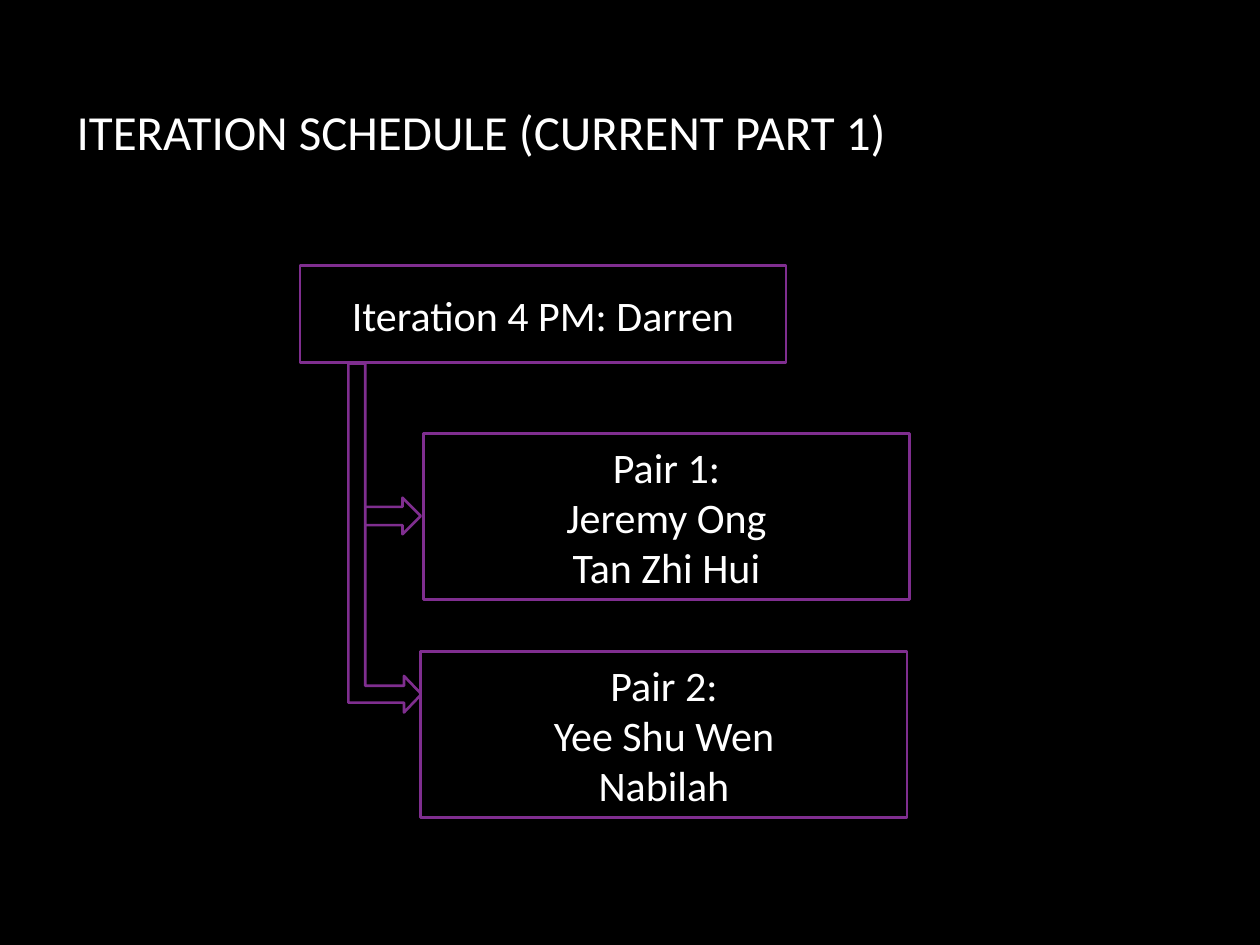
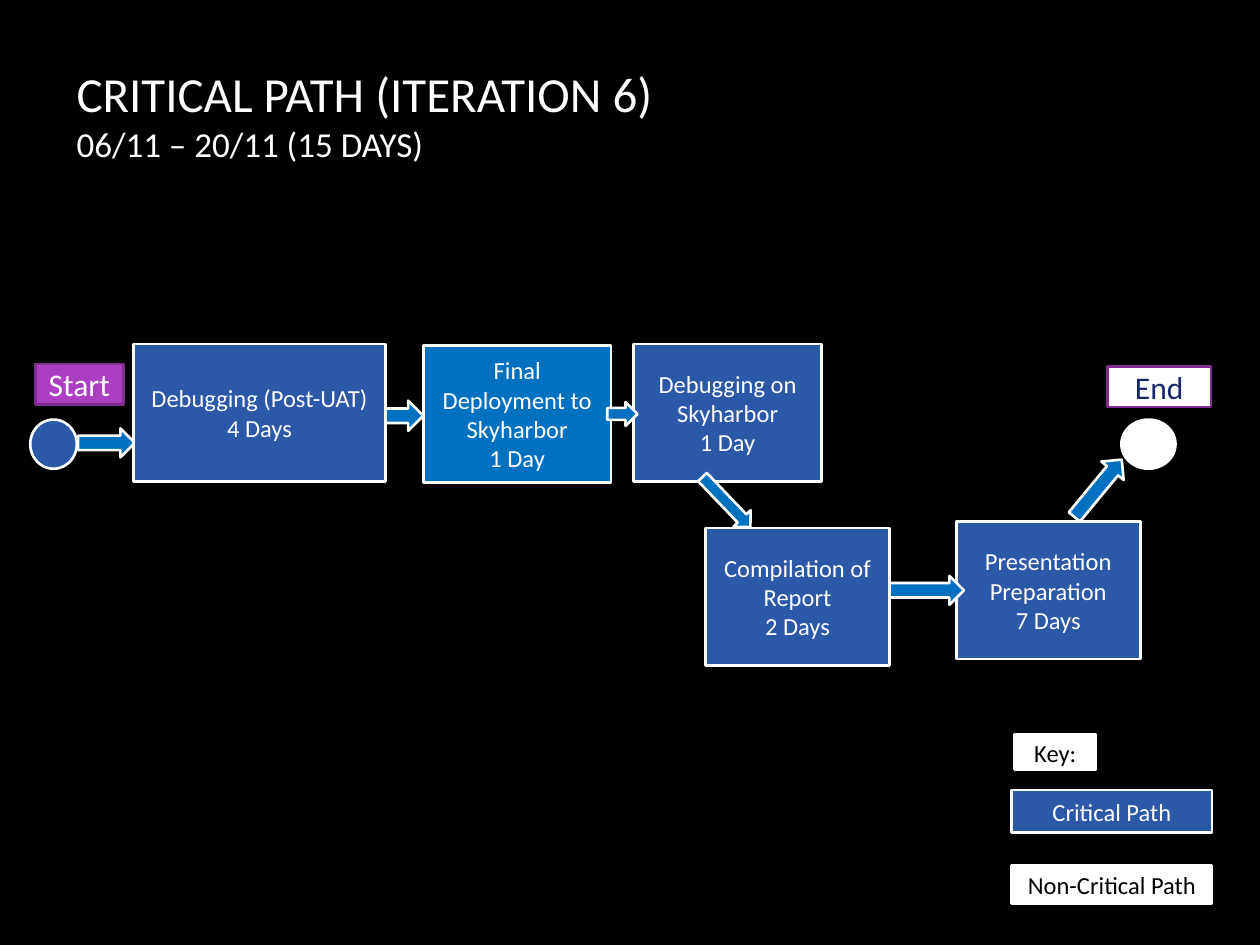
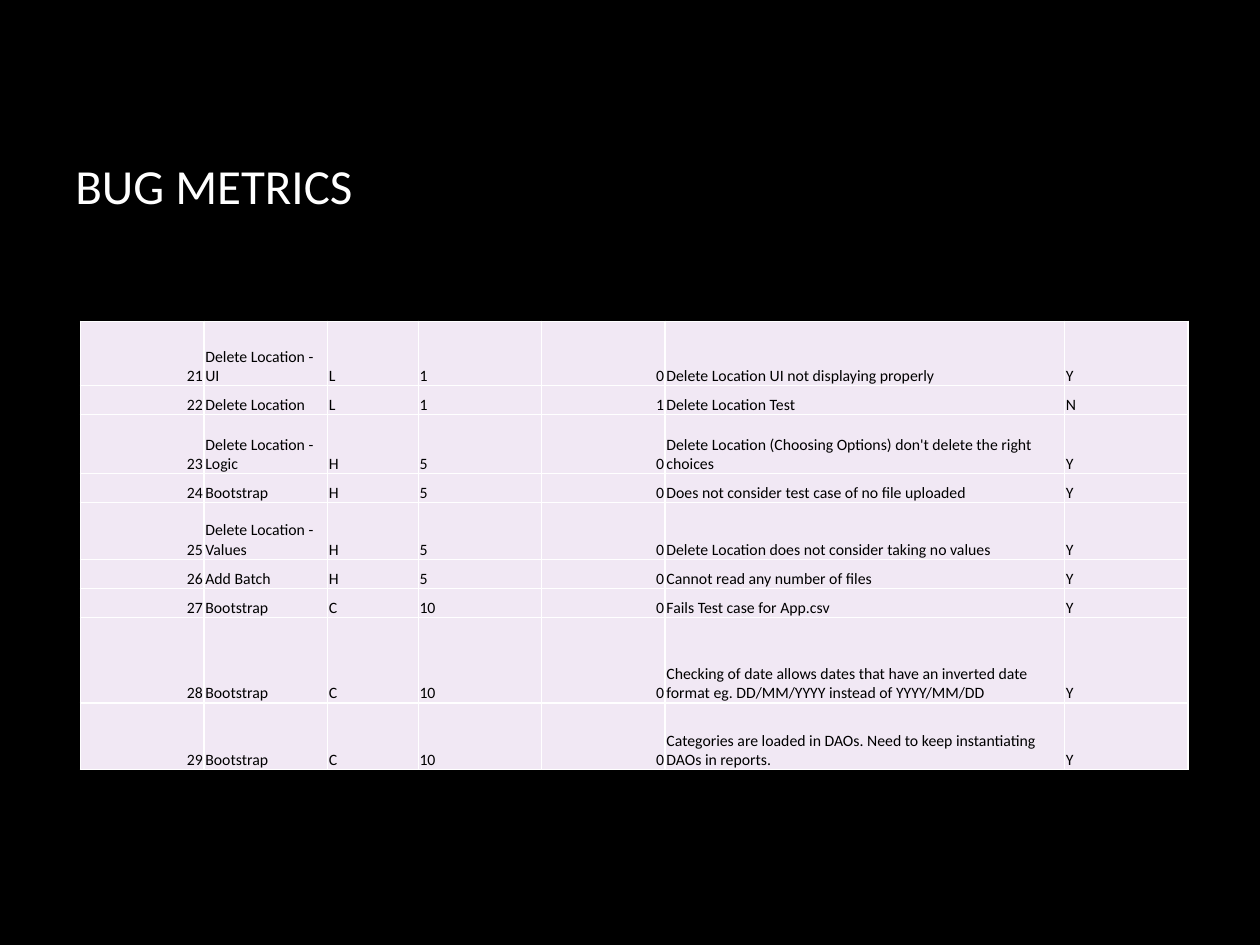
"""Builds three project review slides: a schedule, a critical path and bug metrics."""
import lxml.etree
import pptx
import pptx.dml.color
import pptx.enum.shapes
import pptx.enum.text
import pptx.oxml.ns
import pptx.util

SHAPE = pptx.enum.shapes.MSO_SHAPE
ALIGN = pptx.enum.text.PP_ALIGN
ANCHOR = pptx.enum.text.MSO_ANCHOR

COLUMNS, ROWS = 100, 75
SLIDE_WIDTH, SLIDE_HEIGHT = pptx.util.Inches(10), pptx.util.Inches(7.5)
FONT = "Calibri"

COLORS = {
    "black": "000000",
    "white": "FFFFFF",
    "purple": "7F2E8F",
    "orchid": "AC3EC1",
    "blue": "2A59A8",
    "azure": "0070C0",
    "navy": "18276C",
    "lilac": "F1E8F4",
}

STYLES = {
    "team": {"fill": "black", "line": "purple", "text": "white", "size": 24},
    "critical": {"fill": "blue", "line": "white", "text": "white", "size": 14},
    "deployment": {"fill": "azure", "line": "white", "text": "white", "size": 14},
    "plain": {"fill": "white", "line": "white", "text": "black", "size": 14},
    "start": {"fill": "orchid", "line": "purple", "text": "white", "size": 18},
    "end": {"fill": "white", "line": "purple", "text": "navy", "size": 18},
}

TITLE_AREA = (85, 15.9)

SCHEDULE = {
    "title": [("ITERATION SCHEDULE (CURRENT PART 1)", 28)],
    "title_at": (5.1, 2.4),
    "shapes": [
        (SHAPE.RIGHT_ARROW, "team", (27.8, 39.5, 5.6, 2.9), [], {}),
        (SHAPE.RECTANGLE, "team", (23.8, 21.1, 38.6, 7.7), ["Iteration 4 PM: Darren"], {}),
        (SHAPE.BENT_UP_ARROW, "team", (16.7, 39.8, 27.7, 5.8), [],
         {"rotation": 90, "adjust": (0.23, 0.25, 0.24)}),
        (SHAPE.RECTANGLE, "team", (33.6, 34.4, 38.6, 13.2),
         ["Pair 1:", "Jeremy Ong", "Tan Zhi Hui"], {}),
        (SHAPE.RECTANGLE, "team", (33.4, 51.7, 38.6, 13.2),
         ["Pair 2:", "Yee Shu Wen", "Nabilah"], {}),
    ],
}

CRITICAL_PATH = {
    "title": [("CRITICAL PATH (ITERATION 6)", 28), ("06/11 – 20/11 (15 DAYS)", 20)],
    "title_at": (5.1, 1.1),
    "shapes": [
        (SHAPE.OVAL, "critical", (2.4, 33.3, 3.7, 3.9), [], {}),
        (SHAPE.RIGHT_ARROW, "deployment", (6.2, 34, 4.5, 2.3), [], {}),
        (SHAPE.RECTANGLE, "critical", (50.3, 27.3, 14.9, 10.9),
         ["Debugging on Skyharbor", "1 Day"], {}),
        (SHAPE.RECTANGLE, "critical", (80.3, 62.7, 15.9, 3.4), ["Critical Path"], {}),
        (SHAPE.RECTANGLE, "plain", (80.3, 68.7, 15.9, 3), ["Non-Critical Path"], {}),
        (SHAPE.RECTANGLE, "plain", (80.5, 58.3, 6.5, 2.8), ["Key:"], {}),
        (SHAPE.OVAL, "plain", (89, 33.3, 4.3, 3.9), [], {}),
        (SHAPE.RECTANGLE, "start", (2.8, 28.9, 7, 3.2), ["Start"], {}),
        (SHAPE.RECTANGLE, "end", (87.9, 29.1, 8.2, 3.2), ["End"], {}),
        (SHAPE.RECTANGLE, "deployment", (33.6, 27.4, 14.9, 10.9),
         ["Final Deployment to Skyharbor", "1 Day"], {}),
        (SHAPE.RIGHT_ARROW, "deployment", (48.2, 31.9, 2.4, 1.9), [], {}),
        (SHAPE.RECTANGLE, "critical", (10.6, 27.3, 20, 10.9),
         ["Debugging (Post-UAT)", "4 Days"], {}),
        (SHAPE.RIGHT_ARROW, "deployment", (30.6, 31.8, 3, 2.4), [], {"adjust": (0.48, 0.5)}),
        (SHAPE.RIGHT_ARROW, "deployment", (54.9, 38.9, 5.5, 1.9), [], {"rotation": 46.3}),
        (SHAPE.RECTANGLE, "critical", (56, 41.9, 14.6, 10.9),
         ["Compilation of Report", "2 Days"], {}),
        (SHAPE.RECTANGLE, "critical", (75.9, 41.4, 14.6, 10.9),
         ["Presentation Preparation", "7 Days"], {}),
        (SHAPE.RIGHT_ARROW, "deployment", (84.2, 37.6, 5.9, 2.3), [], {"rotation": 309.6}),
        (SHAPE.RIGHT_ARROW, "deployment", (70.6, 45.7, 5.9, 2.3), [], {}),
    ],
}

BUG_METRICS = {
    "title": [("BUG METRICS", 28)],
    "title_at": (5, 6.7),
    "shapes": [],
}

FIRST_BUG = 21
BUGS = [
    ("Delete Location - UI", "L", 1, 0, "Delete Location UI not displaying properly", "Y"),
    ("Delete Location", "L", 1, 1, "Delete Location Test", "N"),
    ("Delete Location - Logic", "H", 5, 0,
     "Delete Location (Choosing Options) don't delete the right choices", "Y"),
    ("Bootstrap", "H", 5, 0, "Does not consider test case of no file uploaded", "Y"),
    ("Delete Location - Values", "H", 5, 0,
     "Delete Location does not consider taking no values", "Y"),
    ("Add Batch", "H", 5, 0, "Cannot read any number of files", "Y"),
    ("Bootstrap", "C", 10, 0, "Fails Test case for App.csv", "Y"),
    ("Bootstrap", "C", 10, 0,
     "Checking of date allows dates that have an inverted date format eg. "
     "DD/MM/YYYY instead of YYYY/MM/DD", "Y"),
    ("Bootstrap", "C", 10, 0,
     "Categories are loaded in DAOs. Need to keep instantiating DAOs in reports.", "Y"),
]
BUG_TABLE_AT = (6.4, 25.5)
BUG_WIDTHS = [9.8, 9.8, 7.2, 9.8, 9.8, 31.7, 9.8]
BUG_HEIGHTS = [5.1, 2.3, 4.7, 2.3, 4.5, 2.3, 2.3, 6.8, 5.3]
RIGHT_ALIGNED = (0, 4)


def across(columns):
    return round(SLIDE_WIDTH * columns / COLUMNS)


def down(rows):
    return round(SLIDE_HEIGHT * rows / ROWS)


def place(left, top, width, height):
    return across(left), down(top), across(width), down(height)


def rgb(name):
    return pptx.dml.color.RGBColor.from_string(COLORS[name])


def assign(target, values):
    for name, value in values.items():
        setattr(target, name, value)


def paint(fill, color):
    fill.solid()
    fill.fore_color.rgb = rgb(color)


def style_font(font, size, color):
    assign(font, {"name": FONT, "size": pptx.util.Pt(size)})
    font.color.rgb = rgb(color)


def add_title(page, lines, corner):
    frame = page.shapes.add_textbox(*place(*corner, *TITLE_AREA)).text_frame
    assign(frame, {"word_wrap": True, "vertical_anchor": ANCHOR.MIDDLE})
    para = frame.paragraphs[0]
    for index, (text, size) in enumerate(lines):
        if index:
            para.add_line_break()
        span = para.add_run()
        span.text = text
        style_font(span.font, size, "white")


def add_box(page, preset, style_name, area, lines, options):
    style = STYLES[style_name]
    box = page.shapes.add_shape(preset, *place(*area))
    box.shadow.inherit = False
    box.rotation = options.get("rotation", 0)
    for index, value in enumerate(options.get("adjust", ())):
        box.adjustments[index] = value
    paint(box.fill, style["fill"])
    paint(box.line.fill, style["line"])
    box.line.width = pptx.util.Pt(1.5)
    frame = box.text_frame
    assign(frame, {"word_wrap": True, "vertical_anchor": ANCHOR.MIDDLE})
    if lines:
        frame.text = "\n".join(lines)
    for para in frame.paragraphs:
        para.alignment = ALIGN.CENTER
        style_font(para.font, style["size"], style["text"])


def add_borders(cell, color):
    properties = cell._tc.get_or_add_tcPr()
    for index, side in enumerate(("lnL", "lnR", "lnT", "lnB")):
        line = lxml.etree.Element(pptx.oxml.ns.qn("a:" + side), w=str(pptx.util.Pt(1)))
        fill = lxml.etree.SubElement(line, pptx.oxml.ns.qn("a:solidFill"))
        lxml.etree.SubElement(fill, pptx.oxml.ns.qn("a:srgbClr"), val=COLORS[color])
        properties.insert(index, line)


def fill_cell(cell, text, alignment):
    hair = pptx.util.Inches(0.01)
    assign(cell, {"margin_left": hair, "margin_top": hair, "margin_right": hair,
                  "margin_bottom": 0, "vertical_anchor": ANCHOR.BOTTOM, "text": text})
    paint(cell.fill, "lilac")
    add_borders(cell, "white")
    para = cell.text_frame.paragraphs[0]
    para.alignment = alignment
    style_font(para.runs[0].font, 9, "black")


def add_bug_table(page):
    area = place(*BUG_TABLE_AT, sum(BUG_WIDTHS), sum(BUG_HEIGHTS))
    table = page.shapes.add_table(len(BUGS), len(BUG_WIDTHS), *area).table
    assign(table, {"first_row": False, "horz_banding": False})
    for column, width in zip(table.columns, BUG_WIDTHS):
        column.width = across(width)
    for row, height in zip(table.rows, BUG_HEIGHTS):
        row.height = down(height)
    for row, bug in enumerate(BUGS):
        for column, value in enumerate((FIRST_BUG + row, *bug)):
            alignment = ALIGN.RIGHT if column in RIGHT_ALIGNED else ALIGN.LEFT
            fill_cell(table.cell(row, column), str(value), alignment)


def add_page(deck, content):
    page = deck.slides.add_slide(deck.slide_layouts[6])
    paint(page.background.fill, "black")
    shapes = content["shapes"]
    add_title(page, content["title"], content["title_at"])
    for shape in shapes:
        add_box(page, *shape)
    return page


def main():
    deck = pptx.Presentation()
    assign(deck, {"slide_width": SLIDE_WIDTH, "slide_height": SLIDE_HEIGHT})
    for content in (SCHEDULE, CRITICAL_PATH):
        add_page(deck, content)
    add_bug_table(add_page(deck, BUG_METRICS))
    deck.save("out.pptx")


if __name__ == "__main__":
    main()
